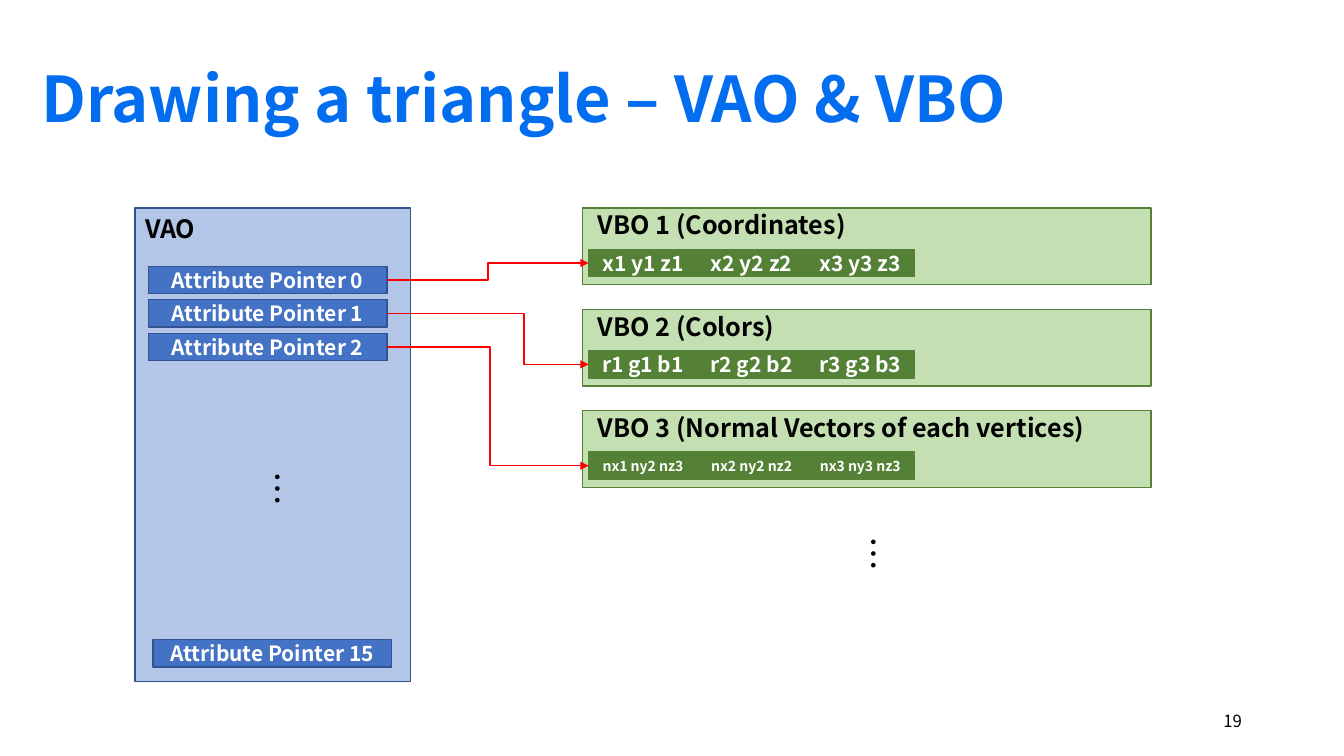
import dataclasses

import lxml.etree
import pptx
import pptx.dml.color
import pptx.enum.shapes
import pptx.enum.text
import pptx.oxml.ns
import pptx.util

Pt = pptx.util.Pt
Align = pptx.enum.text.PP_ALIGN
Anchor = pptx.enum.text.MSO_ANCHOR
qn = pptx.oxml.ns.qn


@dataclasses.dataclass(frozen=True)
class Theme:
    font: str = "Noto Sans CJK KR"
    title: str = "026DEE"
    ink: str = "000000"
    paper: str = "FFFFFF"
    array_fill: str = "B3C6E7"
    pointer_fill: str = "4472C4"
    blue_line: str = "31538F"
    buffer_fill: str = "C4E0B2"
    green: str = "548135"
    arrow: str = "FF0000"
    title_size: float = 45
    dots_size: float = 25
    heading_size: float = 18
    label_size: float = 15
    small_size: float = 10
    number_size: float = 12
    line_width: float = 1


def color(value):
    return pptx.dml.color.RGBColor.from_string(value)


class SlideBuilder:
    def __init__(self, slide, theme):
        self.slide = slide
        self.theme = theme

    def set_text(self, shape, text, size, ink, bold, align, anchor):
        frame = shape.text_frame
        frame.text = text
        frame.word_wrap = True
        frame.vertical_anchor = anchor
        paragraph = frame.paragraphs[0]
        paragraph.alignment = align
        for run in paragraph.runs:
            run.font.name = self.theme.font
            run.font.size = Pt(size)
            run.font.bold = bold
            run.font.color.rgb = color(ink)
            east_asian = lxml.etree.SubElement(run.font._element, qn("a:ea"))
            east_asian.set("typeface", self.theme.font)

    def text(self, left, top, width, height, text, size, ink=None, bold=True,
             align=Align.LEFT, anchor=Anchor.TOP):
        shape = self.slide.shapes.add_textbox(Pt(left), Pt(top), Pt(width), Pt(height))
        self.set_text(shape, text, size, ink or self.theme.ink, bold, align, anchor)
        return shape

    def box(self, left, top, width, height, fill, line, text="", size=None):
        shape = self.slide.shapes.add_shape(
            pptx.enum.shapes.MSO_SHAPE.RECTANGLE, Pt(left), Pt(top), Pt(width), Pt(height))
        shape.shadow.inherit = False
        shape.fill.solid()
        shape.fill.fore_color.rgb = color(fill)
        shape.line.color.rgb = color(line)
        shape.line.width = Pt(self.theme.line_width)
        if text:
            self.set_text(shape, text, size, self.theme.paper, True, Align.CENTER, Anchor.MIDDLE)
        return shape

    def dots(self, left, top):
        shape = self.text(left, top, 33.1, 37.4, "…", self.theme.dots_size, bold=False)
        shape.rotation = 90

    def elbow_arrow(self, source, target, bend):
        connector = self.slide.shapes.add_connector(
            pptx.enum.shapes.MSO_CONNECTOR.ELBOW, 0, 0, 0, 0)
        connector.begin_connect(source, 3)
        connector.end_connect(target, 1)
        connector.line.color.rgb = color(self.theme.arrow)
        connector.line.width = Pt(self.theme.line_width)
        properties = connector._element.spPr
        adjustments = properties.find(qn("a:prstGeom")).find(qn("a:avLst"))
        guide = lxml.etree.SubElement(adjustments, qn("a:gd"))
        guide.set("name", "adj1")
        guide.set("fmla", f"val {round(bend * 100000)}")
        head = lxml.etree.SubElement(properties.find(qn("a:ln")), qn("a:tailEnd"))
        head.set("type", "triangle")
        lxml.etree.SubElement(properties, qn("a:effectLst"))


BUFFERS = [
    ("VBO 1 (Coordinates)", ["x1 y1 z1", "x2 y2 z2", "x3 y3 z3"], Theme.label_size, 0.5),
    ("VBO 2 (Colors)", ["r1 g1 b1", "r2 g2 b2", "r3 g3 b3"], Theme.label_size, 0.68),
    ("VBO 3 (Normal Vectors of each vertices)",
     ["nx1 ny2 nz3", "nx2 ny2 nz2", "nx3 ny3 nz3"], Theme.small_size, 0.51),
]
PANEL_TOP = 148.5
BUFFER_PITCH = 72.4
POINTER_PITCH = 23.9
ROW_HEIGHT = 19.6
CELL_WIDTH = 77.6


def main():
    presentation = pptx.Presentation()
    presentation.slide_width = Pt(960)
    presentation.slide_height = Pt(540)
    slide = presentation.slides.add_slide(presentation.slide_layouts[6])
    theme = Theme()
    builder = SlideBuilder(slide, theme)

    title = builder.text(12.2, 38.9, 880.6, 61.9, "Drawing a triangle – VAO & VBO",
                         theme.title_size, theme.title)
    title.text_frame.margin_left = Pt(17.2)
    builder.text(678.2, 500.4, 216, 28.8, "19", theme.number_size, bold=False,
                 align=Align.RIGHT, anchor=Anchor.MIDDLE)

    builder.box(96.5, PANEL_TOP, 196.6, 338.4, theme.array_fill, theme.blue_line)
    builder.text(96.5, PANEL_TOP, 121.7, 28.8, "VAO", theme.heading_size)

    def pointer(number, left, top):
        return builder.box(left, top, 170.6, ROW_HEIGHT, theme.pointer_fill, theme.blue_line,
                           f"Attribute Pointer {number}", theme.label_size)

    for index, (heading, vertices, size, bend) in enumerate(BUFFERS):
        top = PANEL_TOP + index * BUFFER_PITCH
        builder.box(416.2, top, 406, 54.8, theme.buffer_fill, theme.green)
        builder.text(419.8, top - 2.4, 400, 28.8, heading, theme.heading_size)
        cells = [
            builder.box(420.5 + column * CELL_WIDTH, top + 29.6, CELL_WIDTH, ROW_HEIGHT,
                        theme.green, theme.green, vertex, size)
            for column, vertex in enumerate(vertices)
        ]
        source = pointer(index, 105.9, 190.2 + index * POINTER_PITCH)
        builder.elbow_arrow(source, cells[0], bend)

    pointer(15, 109.2, 457)
    builder.dots(182.2, 327.6)
    builder.dots(607.7, 373.7)
    presentation.save("out.pptx")


if __name__ == "__main__":
    main()
